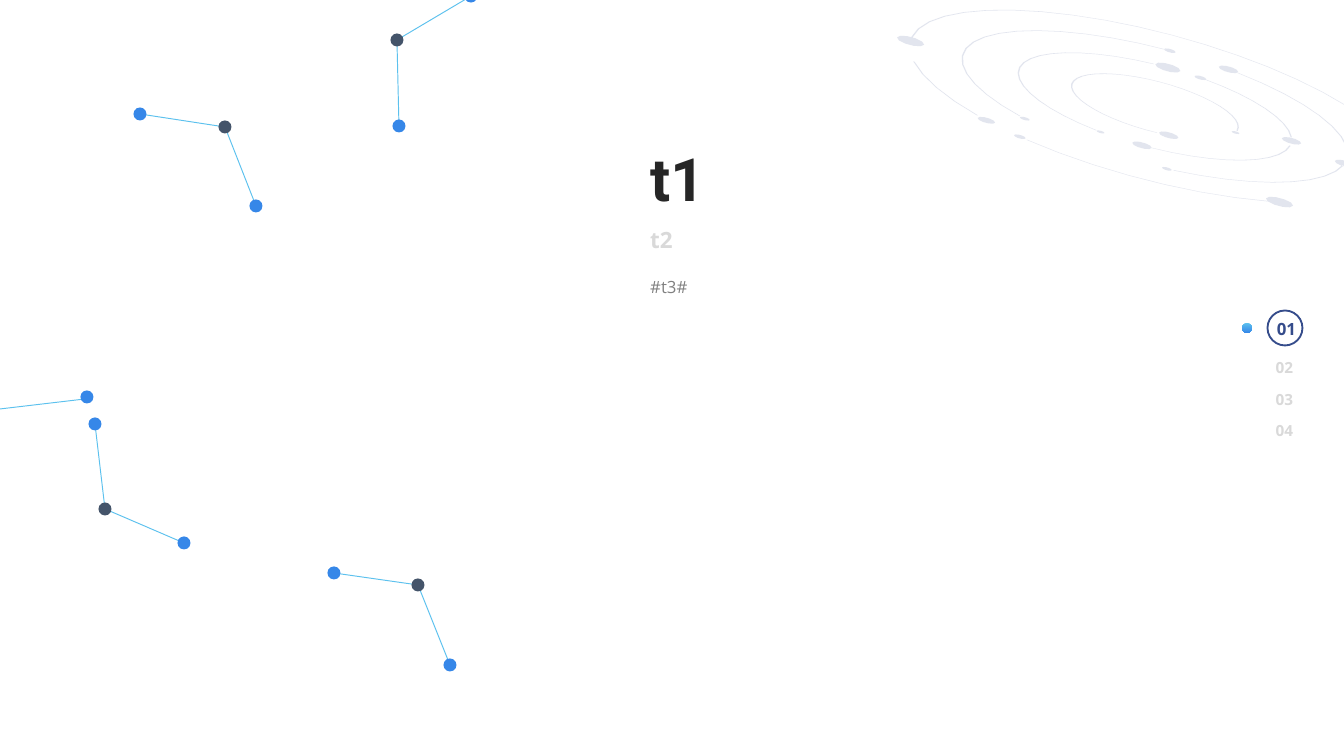
from math import cos, radians, sin

from lxml.etree import SubElement
from pptx import Presentation
from pptx.dml.color import RGBColor
from pptx.enum.shapes import MSO_CONNECTOR as Link, MSO_SHAPE as Kind
from pptx.enum.text import MSO_ANCHOR as Anchor, PP_ALIGN as Align
from pptx.oxml.ns import qn
from pptx.util import Pt

SCALE = 914400 / 134.4
NAVY, BLUE, SKY, SLATE, PALE = "354C8B", "3687E8", "5CC1EE", "44546A", "D9D9D9"

# hub, then its two ends
CHAINS = [
    ((105, 509), (184, 543), (95, 424)),
    ((397, 40), (399, 126), (471, -4)),
    ((418, 585), (334, 573), (450, 665)),
    ((225, 127), (140, 114), (256, 206)),
]

# radius, arcs (from and to, degrees), dots (angle, radius)
TILT, SQUASH, MID = 15, 0.29, (1155, 106)
RINGS = [
    (253, [(183, 356), (132, 165), (58, 117)],
     [(180, 14), (55, 14), (129, 9), (119, 6), (358, 10)]),
    (199, [(130, 269), (291, 357), (8, 80)],
     [(270, 6), (288, 10), (357, 3), (6, 10), (82, 5), (128, 5)]),
    (141, [(111, 265), (287, 352), (4, 87)],
     [(271, 13), (285, 6), (357, 10), (91, 10), (109, 4)]),
    (86, [(84, 365)], [(10, 4), (76, 10)]),
]


def emu(px):
    return round(px * SCALE)


def rgb(code):
    return RGBColor.from_string(code)


def arc(rad, start, end, step=8, mid=(0, 0)):
    """Points of a circle's arc, about step degrees apart."""
    count = max(1, round(abs(end - start) / step))
    turns = [radians(start + (end - start) * i / count) for i in range(count + 1)]
    return [(mid[0] + rad * cos(t), mid[1] + rad * sin(t)) for t in turns]


def outlines():
    """Closed outlines of all ring bands and their dots, seen from above."""
    for rad, arcs, dots in RINGS:
        for start, end in arcs:
            yield arc(rad + 0.7, start, end) + arc(rad - 0.7, end, start)
        for turn, size in dots:
            yield arc(size, 0, 324, 36, arc(rad, turn, turn)[0])


class Deck:
    def __init__(self, wide, high):
        self.prs = Presentation()
        self.prs.slide_width, self.prs.slide_height = emu(wide), emu(high)
        self.slide = self.prs.slides.add_slide(self.prs.slide_layouts[6])
        self.shapes = self.slide.shapes

    def line(self, start, end):
        wire = self.shapes.add_connector(Link.STRAIGHT, *map(emu, start + end))
        wire.line.color.rgb = rgb(SKY)
        wire.line.width = Pt(0.5)
        SubElement(wire._element.spPr, qn("a:effectLst"))

    def disc(self, mid, size, fill=None, edge=None, blend=None):
        left, top = mid[0] - size / 2, mid[1] - size / 2
        disc = self.shapes.add_shape(Kind.OVAL, *map(emu, (left, top, size, size)))
        disc.shadow.inherit = False
        if blend:
            disc.fill.gradient()
            disc.fill.gradient_angle = 270
            for stop, code in zip(disc.fill.gradient_stops, blend):
                stop.color.rgb = rgb(code)
        elif fill:
            disc.fill.solid()
            disc.fill.fore_color.rgb = rgb(fill)
        else:
            disc.fill.background()
        if edge:
            disc.line.color.rgb = rgb(edge)
            disc.line.width = Pt(1)
        else:
            disc.line.fill.background()

    def orbit(self):
        """All rings as one flattened, tilted, see-through outline."""
        build = None
        for ring in outlines():
            pts = [(round(100 * (MID[0] + x)), round(100 * (MID[1] + SQUASH * y)))
                   for x, y in ring]
            if build is None:
                build = self.shapes.build_freeform(*pts[0], scale=SCALE / 100)
            else:
                build.move_to(*pts[0])
            build.add_line_segments(pts[1:], close=True)
        shape = build.convert_to_shape()
        shape.rotation = TILT
        shape.shadow.inherit = False
        shape.line.fill.background()
        shape.fill.solid()
        shape.fill.fore_color.rgb = rgb(NAVY)
        tint = shape._element.spPr.find(qn("a:solidFill"))[0]
        SubElement(tint, qn("a:alpha"), val="14000")

    def text(self, words, box, size, code, font="Open Sans", bold=True,
             align=Align.LEFT, anchor=Anchor.TOP, wrap=True, space=None):
        frame = self.shapes.add_textbox(*map(emu, box)).text_frame
        frame.word_wrap = wrap
        frame.vertical_anchor = anchor
        para = frame.paragraphs[0]
        para.text = words
        para.alignment = align
        para.line_spacing = space
        para.font.name, para.font.size, para.font.bold = font, Pt(size), bold
        para.font.color.rgb = rgb(code)


def main():
    deck = Deck(1344, 756)
    deck.orbit()

    deck.line((0, 409), (85, 399))
    deck.disc((87, 397), 13, BLUE)
    for hub, *ends in CHAINS:
        for end in ends:
            deck.line(hub, end)
            deck.disc(end, 13, BLUE)
        deck.disc(hub, 13, SLATE)

    for row, word in enumerate(("02", "03", "04")):
        deck.text(word, (1261, 352 + 31.5 * row, 47, 32), 8.2, PALE,
                  align=Align.CENTER, wrap=False)
    deck.text("01", (1263, 312, 47, 34), 9, NAVY, align=Align.CENTER, wrap=False)
    deck.disc((1285, 328), 35, edge=NAVY)
    deck.disc((1247, 328), 10, blend=(SKY, BLUE))

    deck.text("t1", (637, 134, 530, 86), 32, "262626", "Roboto",
              anchor=Anchor.BOTTOM)
    deck.text("t2", (637, 220, 530, 40), 12, PALE)
    deck.text("#t3#", (637, 260, 563, 40), 9, "808080", bold=False, space=1.5)
    deck.prs.save("out.pptx")


if __name__ == "__main__":
    main()
